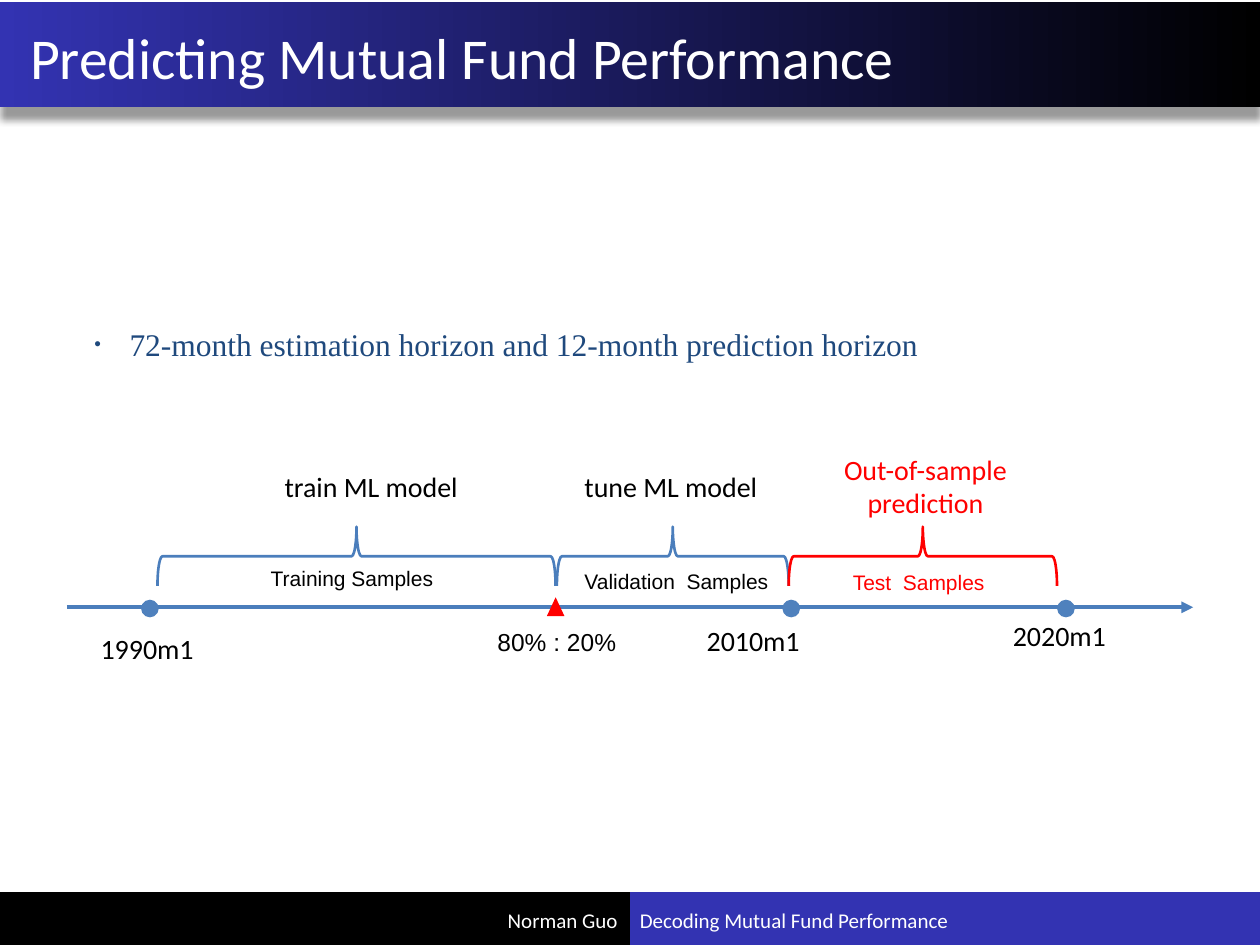
from lxml.etree import SubElement
from pptx import Presentation
from pptx.dml.color import RGBColor
from pptx.enum.shapes import MSO_CONNECTOR, MSO_SHAPE
from pptx.enum.text import MSO_ANCHOR, PP_ALIGN
from pptx.oxml.ns import qn
from pptx.util import Inches, Pt

COLORS = {
    "black": "000000",
    "white": "FFFFFF",
    "indigo": "3333B2",
    "navy": "1F497D",
    "line": "4B7EBC",
    "dot": "4F81BD",
    "red": "FF0000",
}


def color(name):
    return RGBColor.from_string(COLORS[name])


def add_text(slide, text, left, top, width, height, size=16, font="Calibri",
             fill="black", align=PP_ALIGN.LEFT, anchor=MSO_ANCHOR.TOP):
    shape = slide.shapes.add_textbox(Inches(left), Inches(top), Inches(width), Inches(height))
    frame = shape.text_frame
    frame.word_wrap = True
    frame.vertical_anchor = anchor
    paragraph = frame.paragraphs[0]
    paragraph.alignment = align
    run = paragraph.add_run()
    run.text = text
    run.font.size = Pt(size)
    run.font.name = font
    run.font.color.rgb = color(fill)
    return paragraph


def add_shape(slide, kind, left, top, width, height, fill=None, line=None):
    shape = slide.shapes.add_shape(kind, Inches(left), Inches(top), Inches(width), Inches(height))
    shape.shadow.inherit = False
    if fill:
        shape.fill.solid()
        shape.fill.fore_color.rgb = color(fill)
    else:
        shape.fill.background()
    if line:
        shape.line.color.rgb = color(line)
        shape.line.width = Pt(1.5)
    else:
        shape.line.fill.background()
    return shape


def add_drop_shadow(shape):
    effects = shape._element.spPr.find(qn("a:effectLst"))
    shadow = SubElement(effects, qn("a:outerShdw"), blurRad=str(Pt(4)), dist=str(Pt(7)),
                        dir="5400000", algn="t", rotWithShape="0")
    tone = SubElement(shadow, qn("a:srgbClr"), val=COLORS["black"])
    SubElement(tone, qn("a:alpha"), val="40000")


def add_header(slide, left, top, width, height):
    bar = add_shape(slide, MSO_SHAPE.RECTANGLE, left, top, width, height, fill="indigo")
    bar.fill.gradient()
    bar.fill.gradient_angle = 0
    for stop, name, position in zip(bar.fill.gradient_stops, ("indigo", "black"), (0, 1)):
        stop.color.rgb = color(name)
        stop.position = position
    add_drop_shadow(bar)
    add_text(slide, "Predicting Mutual Fund Performance", left + 0.14, top + 0.02,
             width - 0.3, height - 0.02, size=33, fill="white", anchor=MSO_ANCHOR.MIDDLE)


def add_footer(slide, left, top, width, height):
    half = width / 2
    middle = left + half
    add_shape(slide, MSO_SHAPE.RECTANGLE, middle, top, half, height, fill="indigo")
    add_shape(slide, MSO_SHAPE.RECTANGLE, left, top, half, height, fill="black")
    style = {"size": 12, "fill": "white", "anchor": MSO_ANCHOR.MIDDLE}
    add_text(slide, "Norman Guo", left, top + 0.02, half, height - 0.02,
             align=PP_ALIGN.RIGHT, **style)
    add_text(slide, "Decoding Mutual Fund Performance", middle - 0.02, top + 0.02,
             half, height - 0.02, **style)


def add_bullet(slide, left, top, width, height):
    paragraph = add_text(slide, "72-month estimation horizon and 12-month prediction horizon",
                         left, top, width, height, size=18, font="Times New Roman", fill="navy")
    properties = paragraph._p.get_or_add_pPr()
    properties.set("marL", str(Inches(0.28)))
    properties.set("indent", str(Inches(-0.28)))
    SubElement(properties, qn("a:buSzPct"), val="60000")
    SubElement(properties, qn("a:buFont"), typeface="Arial")
    SubElement(properties, qn("a:buChar"), char="•")


def add_axis(slide, left, top, width):
    axis = slide.shapes.add_connector(MSO_CONNECTOR.STRAIGHT, Inches(left), Inches(top),
                                      Inches(left + width), Inches(top))
    axis.line.color.rgb = color("line")
    axis.line.width = Pt(2.25)
    SubElement(axis.line._get_or_add_ln(), qn("a:tailEnd"), type="triangle")
    SubElement(axis._element.spPr, qn("a:effectLst"))


def add_brace(slide, left, top, span, depth, line):
    shape = add_shape(slide, MSO_SHAPE.RIGHT_BRACE, left + (span - depth) / 2,
                      top + (depth - span) / 2, depth, span, line=line)
    shape.rotation = 270


def add_timeline(slide, left, top, width):
    axis_top = top + 1.28
    add_axis(slide, left, axis_top, width)

    for label, center, label_left, label_top in (
        ("1990m1", 0.66, 0.17, 1.42),
        ("2010m1", 5.75, 4.98, 1.36),
        ("2020m1", 7.93, 7.41, 1.32),
    ):
        add_shape(slide, MSO_SHAPE.OVAL, left + center - 0.07, axis_top - 0.06,
                  0.14, 0.14, fill="dot")
        add_text(slide, label, left + label_left, top + label_top, 0.95, 0.37)

    for start, span, line in ((0.72, 3.16, "line"), (3.89, 1.84, "line"), (5.73, 2.13, "red")):
        add_brace(slide, left + start, top + 0.64, span, 0.47, line)

    add_shape(slide, MSO_SHAPE.ISOSCELES_TRIANGLE, left + 3.81, axis_top - 0.08,
              0.14, 0.15, fill="red")
    add_text(slide, "80% : 20%", left + 3.32, top + 1.39, 1.47, 0.34, size=14, font="Arial")

    for label, label_left, label_top, fill in (
        ("Training Samples", 1.52, 0.9, "black"),
        ("Validation  Samples", 4.01, 0.92, "black"),
        ("Test  Samples", 6.14, 0.93, "red"),
    ):
        add_text(slide, label, left + label_left, top + label_top, 1.98, 0.3,
                 size=12, font="Arial", fill=fill)

    for label, label_left in (("train ML model", 1.63), ("tune ML model", 4.01)):
        add_text(slide, label, left + label_left, top + 0.14, 2.25, 0.37)
    add_text(slide, "Out-of-sample prediction", left + 6.06, top, 1.51, 0.64,
             fill="red", align=PP_ALIGN.CENTER)


def main():
    presentation = Presentation()
    presentation.slide_width = Inches(10)
    presentation.slide_height = Inches(7.5)
    slide = presentation.slides.add_slide(presentation.slide_layouts[6])
    add_footer(slide, 0, 7.08, 10, 0.42)
    add_header(slide, 0, 0.02, 10, 0.83)
    add_bullet(slide, 0.65, 2.53, 9.17, 0.4)
    add_timeline(slide, 0.53, 3.54, 8.94)
    presentation.save("out.pptx")


if __name__ == "__main__":
    main()
